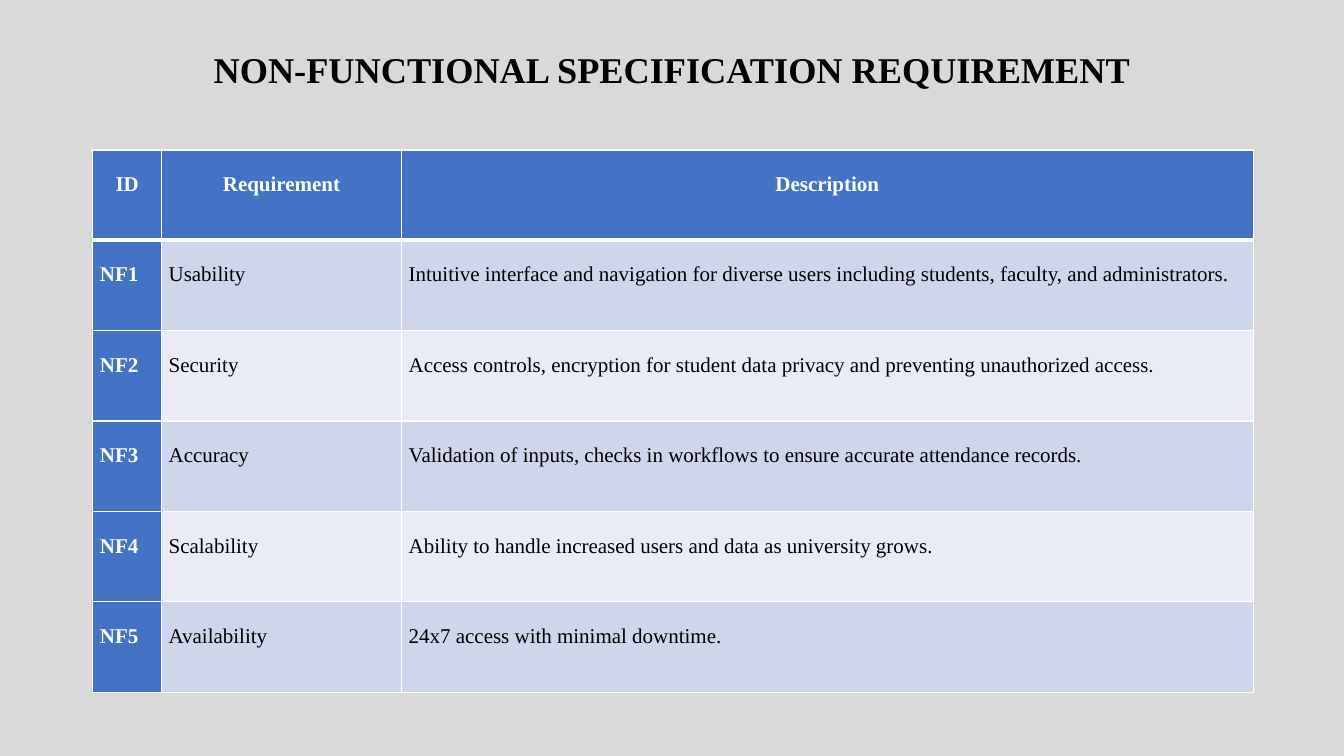
from dataclasses import dataclass

from lxml.etree import SubElement
from pptx import Presentation
from pptx.dml.color import RGBColor
from pptx.enum.text import MSO_ANCHOR, PP_ALIGN as Align
from pptx.oxml.ns import qn
from pptx.slide import Slide
from pptx.util import Cm, Pt

BACKDROP = RGBColor(0xD9, 0xD9, 0xD9)
HEADER_BLUE = RGBColor(0x44, 0x72, 0xC4)
BAND_DARK = RGBColor(0xCF, 0xD5, 0xEA)
BAND_LIGHT = RGBColor(0xE9, 0xEB, 0xF5)
WHITE = RGBColor(0xFF, 0xFF, 0xFF)
BLACK = RGBColor(0x00, 0x00, 0x00)

COLUMN_WIDTHS = (1.73, 6.05, 21.46)
HEADER_HEIGHT = 2.27
ROW_HEIGHT = 2.28
REQUIREMENTS = (
    ("ID", "Requirement", "Description"),
    ("NF1", "Usability", "Intuitive interface and navigation for diverse users "
     "including students, faculty, and administrators."),
    ("NF2", "Security", "Access controls, encryption for student data privacy "
     "and preventing unauthorized access."),
    ("NF3", "Accuracy", "Validation of inputs, checks in workflows to ensure "
     "accurate attendance records."),
    ("NF4", "Scalability", "Ability to handle increased users and data as "
     "university grows."),
    ("NF5", "Availability", "24x7 access with minimal downtime."),
)


@dataclass
class RequirementSlide:
    """Holds the slide and its text style, and draws each kind of element."""

    slide: Slide
    font: str = "Times New Roman"
    title_size: float = 25.9
    cell_size: float = 15

    def background(self, color):
        fill = self.slide.background.fill
        fill.solid()
        fill.fore_color.rgb = color

    def add_text(self, frame, text, size, color, bold, align, spacing):
        paragraph = frame.paragraphs[0]
        paragraph.alignment = align
        paragraph.line_spacing = spacing
        run = paragraph.add_run()
        run.text = text
        run.font.name = self.font
        run.font.size = Pt(size)
        run.font.bold = bold
        run.font.color.rgb = color
        return paragraph

    def title(self, text, left, top, width, height):
        frame = self.slide.shapes.add_textbox(
            Cm(left), Cm(top), Cm(width), Cm(height)).text_frame
        frame.word_wrap = True
        heading = self.add_text(frame, text, self.title_size, BLACK, True,
                                Align.CENTER, 0.9)
        heading.space_before = Pt(10)

    def borders(self, cell, widths):
        properties = cell._tc.get_or_add_tcPr()
        for side, width in widths.items():
            line = SubElement(properties, qn(f"a:ln{side}"), w=str(Pt(width)))
            solid = SubElement(line, qn("a:solidFill"))
            SubElement(solid, qn("a:srgbClr"), val=str(WHITE))

    def cell(self, cell, text, row, column):
        header = row == 0
        accent = header or column == 0
        self.borders(cell, {"L": 1, "R": 1, "T": 3 if row == 1 else 1,
                            "B": 3 if header else 1})
        cell.fill.solid()
        band = BAND_DARK if row % 2 else BAND_LIGHT
        cell.fill.fore_color.rgb = HEADER_BLUE if accent else band
        cell.margin_left = cell.margin_right = Cm(0.18)
        cell.margin_top = cell.margin_bottom = 0
        cell.vertical_anchor = MSO_ANCHOR.TOP
        self.add_text(cell.text_frame, text, self.cell_size, WHITE if accent else BLACK,
                      accent, Align.CENTER if header else Align.LEFT, 2.0)

    def table(self, rows, left, top):
        heights = [HEADER_HEIGHT] + [ROW_HEIGHT] * (len(rows) - 1)
        grid = self.slide.shapes.add_table(
            len(rows), len(COLUMN_WIDTHS), Cm(left), Cm(top),
            Cm(sum(COLUMN_WIDTHS)), Cm(sum(heights))).table
        for column, width in zip(grid.columns, COLUMN_WIDTHS):
            column.width = Cm(width)
        for row, (texts, height) in enumerate(zip(rows, heights)):
            grid.rows[row].height = Cm(height)
            for column, text in enumerate(texts):
                self.cell(grid.cell(row, column), text, row, column)


def main():
    deck = Presentation()
    deck.slide_width, deck.slide_height = Cm(33.87), Cm(19.05)
    page = RequirementSlide(deck.slides.add_slide(deck.slide_layouts[6]))
    page.background(BACKDROP)
    page.title("NON-FUNCTIONAL SPECIFICATION REQUIREMENT", 4.55, 1.19, 24.77, 1.4)
    page.table(REQUIREMENTS, 2.34, 3.78)
    deck.save("out.pptx")


if __name__ == "__main__":
    main()
